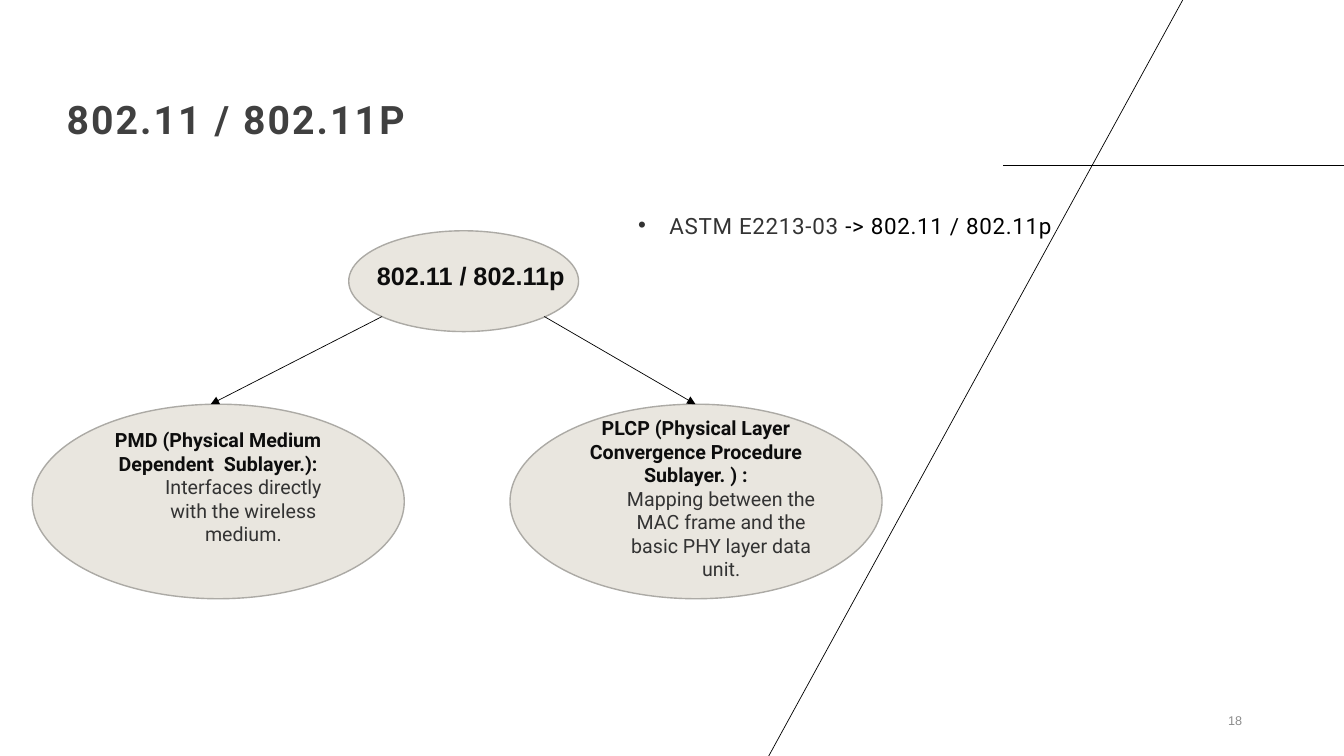
from lxml import etree
from pptx import Presentation
from pptx.dml.color import RGBColor
from pptx.enum.shapes import MSO_CONNECTOR, MSO_SHAPE
from pptx.enum.text import MSO_ANCHOR, MSO_AUTO_SIZE, PP_ALIGN
from pptx.oxml.ns import qn
from pptx.util import Inches, Pt

STRAIGHT, ELLIPSE = MSO_CONNECTOR.STRAIGHT, MSO_SHAPE.OVAL
BOTTOM, MIDDLE = MSO_ANCHOR.BOTTOM, MSO_ANCHOR.MIDDLE
LEFT, CENTER, RIGHT = PP_ALIGN.LEFT, PP_ALIGN.CENTER, PP_ALIGN.RIGHT
NO_FIT = MSO_AUTO_SIZE.NONE
COLORS = {"black": "000000", "heading": "404040", "strong": "0D0D0D",
          "body": "333333", "number": "8C8C8C", "sand": "E9E6DF", "rim": "ACAAA5"}

prs = Presentation()
prs.slide_width, prs.slide_height = Inches(13.33), Inches(7.5)
slide = prs.slides.add_slide(prs.slide_layouts[1])
shapes = slide.shapes

# Grid of 100 columns by 100 rows
COL, ROW = prs.slide_width / 100, prs.slide_height / 100


def grid(*cells):
    return [round(cell * (ROW if i % 2 else COL)) for i, cell in enumerate(cells)]


def write(paragraph, text, color, spacing=0, **font_values):
    run = paragraph.add_run()
    run.text = text
    for name, value in font_values.items():
        setattr(run.font, name, value)
    run.font.color.rgb = RGBColor.from_string(COLORS[color])
    if spacing:
        run.font._element.set("spc", str(spacing))


# Title and bullet in the layout's placeholders
title, standard = shapes.title, slide.placeholders[1]
for holder, cells in ((title, (4.2, 2, 41.93, 17.6)),
                      (standard, (46.73, 27.33, 37.88, 5.33))):
    holder.left, holder.top, holder.width, holder.height = grid(*cells)
    holder.text_frame.auto_size = NO_FIT
title.text_frame.vertical_anchor = BOTTOM
heading = title.text_frame.paragraphs[0]
heading.alignment, heading.line_spacing = LEFT, 0.9
write(heading, "802.11 / 802.11P", "heading", 150, name="Roboto", size=Pt(28), bold=True)

bullet = standard.text_frame.paragraphs[0]
bullet_format = bullet._p.get_or_add_pPr()
bullet_format.set("marL", str(Inches(0.31)))
bullet_format.set("indent", str(-Inches(0.31)))
etree.SubElement(bullet_format, qn("a:buFont")).set("typeface", "Arial")
etree.SubElement(bullet_format, qn("a:buChar")).set("char", "•")
bullet.space_before = Pt(0)
for text, color in (("ASTM E2213-03", "body"), (" -> 802.11 / 802.11p", "black")):
    write(bullet, text, color, 50, name="Roboto", size=Pt(16))

# Ellipses: the standard and its two sublayers
SUBLAYER_TOP, SUBLAYER_SIZE = 53.47, (27.68, 25.73)
ELLIPSES = [
    ((25.95, 30.53, 17.1, 13.33), 0.05, None, None),
    ((37.95, SUBLAYER_TOP, *SUBLAYER_SIZE), 0.11,
     "PLCP (Physical Layer Convergence Procedure Sublayer. ) :",
     "Mapping between the MAC frame and the basic PHY layer data unit."),
    ((2.4, SUBLAYER_TOP, *SUBLAYER_SIZE), 0.34,
     "PMD (Physical Medium Dependent  Sublayer.):",
     "Interfaces directly with the wireless medium."),
]
for cells, bottom_inset, sublayer, role in ELLIPSES:
    ellipse = shapes.add_shape(ELLIPSE, *grid(*cells))
    ellipse.shadow.inherit = False
    ellipse.fill.solid()
    ellipse.fill.fore_color.rgb = RGBColor.from_string(COLORS["sand"])
    ellipse.line.color.rgb = RGBColor.from_string(COLORS["rim"])
    ellipse.line.width = Pt(1)
    if not sublayer:
        continue
    frame = ellipse.text_frame
    frame.word_wrap, frame.vertical_anchor = True, MIDDLE
    frame.margin_bottom = Inches(bottom_inset)
    name_line, role_line = frame.paragraphs[0], frame.add_paragraph()
    role_line.level = 1
    role_format = role_line._p.get_or_add_pPr()
    role_format.set("marL", str(Inches(0.5)))
    role_format.set("indent", "0")
    for line, text, color, bold in ((name_line, sublayer, "strong", True),
                                    (role_line, role, "body", False)):
        line.alignment = CENTER
        write(line, text, color, name="Roboto", size=Pt(14), bold=bold)

# Label of the standard and page number
LABELS = [
    ((27.3, 33.73, 50, 5.33), "802.11 / 802.11p", "strong", 18, True, LEFT),
    ((70.65, 92.67, 22.5, 5.33), "18", "number", 9, False, RIGHT),
]
for cells, text, color, size, bold, alignment in LABELS:
    label = shapes.add_textbox(*grid(*cells)).text_frame
    label.word_wrap, label.vertical_anchor = True, MIDDLE
    label.paragraphs[0].alignment = alignment
    write(label.paragraphs[0], text, color, name="Arial", size=Pt(size), bold=bold)

# Decorative lines, then arrows down to the sublayers
LINES = [
    ((74.63, 21.87, 100, 21.87), False),
    ((88, 0, 57.2, 100), False),
    ((40.5, 41.87, 51.75, SUBLAYER_TOP), True),
    ((28.43, 41.87, 15.68, SUBLAYER_TOP), True),
]
for ends, has_arrow in LINES:
    connector = shapes.add_connector(STRAIGHT, *grid(*ends))
    connector.line.color.rgb = RGBColor.from_string(COLORS["black"])
    connector.line.width = Pt(0.5)
    if has_arrow:
        outline = connector.line._get_or_add_ln()
        etree.SubElement(outline, qn("a:tailEnd")).set("type", "triangle")
    etree.SubElement(connector._element.spPr, qn("a:effectLst"))

prs.save("out.pptx")
